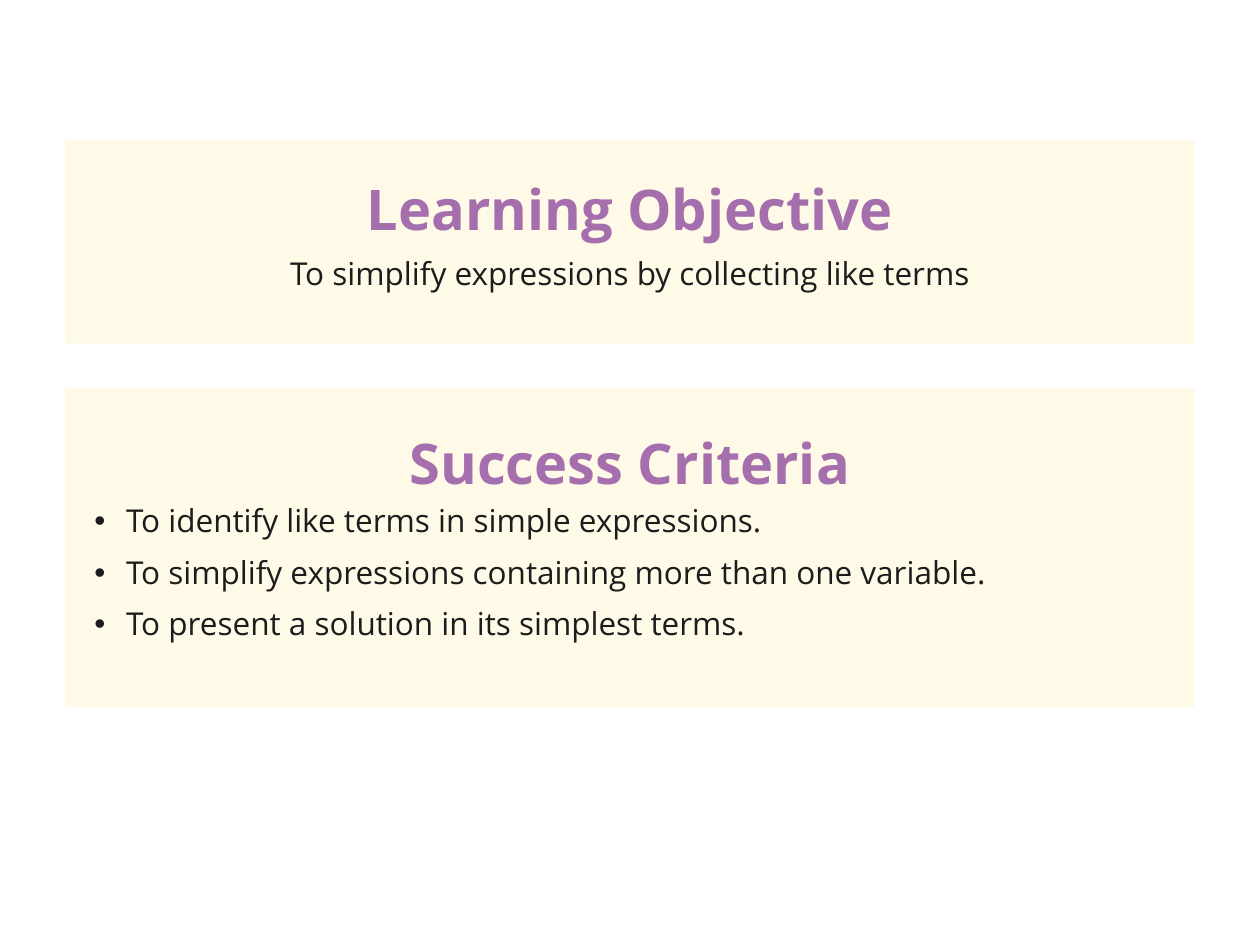
from lxml.etree import SubElement
from pptx import Presentation
from pptx.dml.color import RGBColor
from pptx.enum.shapes import MSO_SHAPE as Shape
from pptx.enum.text import MSO_ANCHOR as Anchor, MSO_AUTO_SIZE as AutoSize, PP_ALIGN as Align
from pptx.oxml.ns import qn
from pptx.util import Cm, Pt

INK, PURPLE, CREAM = "1C1C1C", "A56FAD", "FFF9E7"
LEFT, WIDTH = 1.32, 22.76


def paint(color_owner, code):
    color_owner.rgb = RGBColor.from_string(code)


def write(box, lines, at, size=18, color=INK, bold=False, align=Align.CENTER,
          insets=(0, 0, 0, 0), bullet=None, gap=0, fit=AutoSize.SHAPE_TO_FIT_TEXT):
    box.left, box.top, box.width, box.height = map(Cm, at)
    frame = box.text_frame
    frame.word_wrap, frame.auto_size = True, fit
    frame.vertical_anchor = Anchor.TOP
    frame.margin_left, frame.margin_top, frame.margin_right, frame.margin_bottom = map(Cm, insets)
    for number, line in enumerate(lines):
        para = frame.add_paragraph() if number else frame.paragraphs[0]
        props = para._p.get_or_add_pPr()
        indent = Cm(0.64) if bullet else 0
        props.set("marL", str(indent))
        props.set("indent", str(-indent))
        if bullet:
            bullet_color = SubElement(props, qn("a:buClr"))
            SubElement(bullet_color, qn("a:srgbClr"), val=color)
            SubElement(props, qn("a:buFont"), typeface="Arial")
            SubElement(props, qn("a:buChar"), char=bullet)
        else:
            SubElement(props, qn("a:buNone"))
        para.alignment, para.line_spacing = align, 0.9
        para.space_before = Pt(gap if number else 0)
        span = para.add_run()
        span.text = line
        span.font.name, span.font.size, span.font.bold = "Open Sans", Pt(size), bold
        paint(span.font.color, color)


deck = Presentation()
deck.slide_width, deck.slide_height = Cm(25.4), Cm(19.05)
page = deck.slides.add_slide(deck.slide_layouts[3])
title, objective, criteria = (page.placeholders[i] for i in range(3))

# Cream panels, placed behind the placeholders
for top, height in ((2.82, 4.11), (7.82, 6.43)):
    panel = page.shapes.add_shape(Shape.ROUNDED_RECTANGLE, Cm(LEFT), Cm(top), Cm(WIDTH), Cm(height))
    panel.adjustments[0] = 0
    panel.shadow.inherit = False
    panel.fill.solid()
    paint(panel.fill.fore_color, CREAM)
    panel.line.fill.background()
    tint = panel.element.spPr.find(qn("a:solidFill")).find(qn("a:srgbClr"))
    SubElement(tint, qn("a:alpha"), val="95000")
    title.element.addprevious(panel.element)

# List and objective
write(criteria, [
    "To identify like terms in simple expressions.",
    "To simplify expressions containing more than one variable.",
    "To present a solution in its simplest terms.",
], (1.9, 10.19, 21.59, 2.79), align=Align.LEFT, bullet="•", gap=10)
write(objective, ["To simplify expressions by collecting like terms"], (LEFT, 5.21, WIDTH, 0.69))

# Headings
subtitle = page.shapes.add_textbox(0, 0, 0, 0)
for box, heading, top in ((title, "Learning Objective", 3.07), (subtitle, "Success Criteria", 8.18)):
    write(box, [heading], (LEFT, top, WIDTH, 1.93), size=32, color=PURPLE, bold=True,
          insets=(0.71, 0.61, 0.71, 0.51), fit=AutoSize.NONE)

deck.save("out.pptx")
